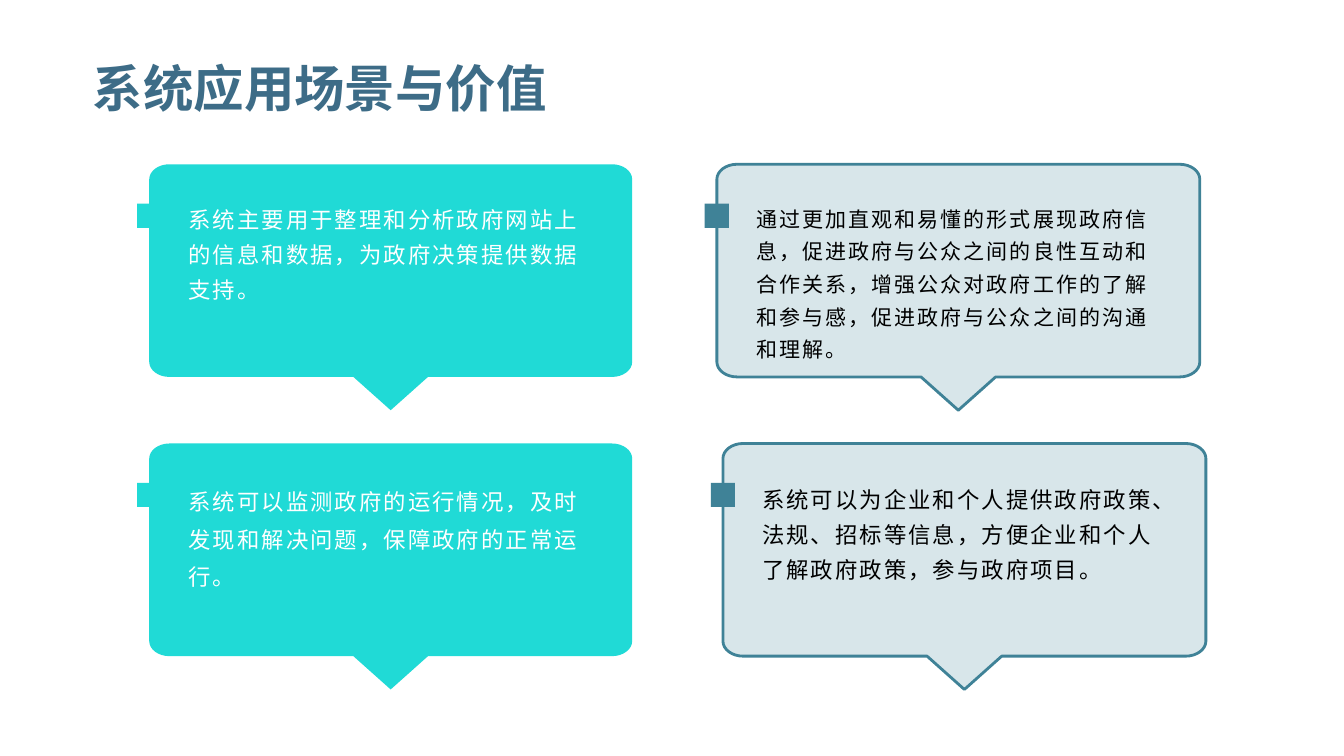
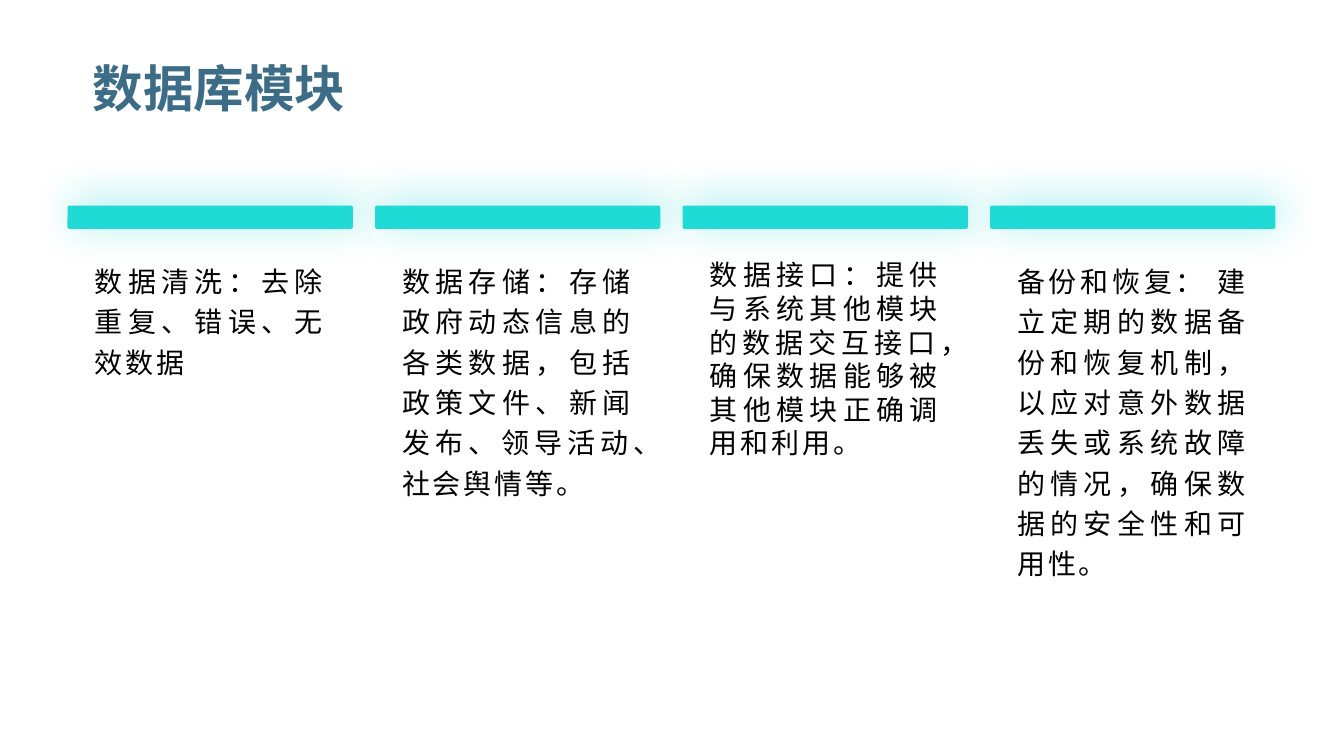
from dataclasses import dataclass

from lxml.etree import SubElement
from pptx import Presentation
from pptx.dml.color import RGBColor
from pptx.enum.shapes import MSO_SHAPE
from pptx.enum.text import MSO_ANCHOR, MSO_AUTO_SIZE, PP_ALIGN
from pptx.oxml.ns import qn
from pptx.util import Inches, Pt


@dataclass(frozen=True)
class Theme:
    title: str = "3D6C87"
    accent: str = "20DAD6"
    steel: str = "3F8297"
    white: str = "FFFFFF"
    black: str = "000000"
    latin_font: str = "Arial"
    chinese_font: str = "Noto Sans CJK SC"
    title_size: int = 36
    column_size: int = 20
    callout_size: int = 16
    dense_size: int = 15


THEME = Theme()

CALLOUT_WIDTH, CALLOUT_HEIGHT = 4.79, 2.11
CORNER_X, CORNER_Y = 0.2, 0.15
CORNER_ROUNDNESS = 0.55
TAIL_HALF_WIDTH, TAIL_HEIGHT = 0.37, 0.33
MARKER_SIZE = 0.24

COLUMN_LEFT, COLUMN_TOP, COLUMN_STEP = 0.67, 2.04, 3.05
CARD_WIDTH, CARD_HEIGHT, BAR_HEIGHT = 2.84, 4.38, 0.23

CALLOUTS = [
    (1.48, 1.63, False, THEME.callout_size, 1.3,
     "系统主要用于整理和分析政府网站上的信息和数据，为政府决策提供数据支持。"),
    (7.11, 1.63, True, THEME.dense_size, 1.3,
     "通过更加直观和易懂的形式展现政府信息，促进政府与公众之间的良性互动和合作关系，"
     "增强公众对政府工作的了解和参与感，促进政府与公众之间的沟通和理解。"),
    (1.48, 4.4, False, THEME.callout_size, 1.4,
     "系统可以监测政府的运行情况，及时发现和解决问题，保障政府的正常运行。"),
    (7.17, 4.4, True, THEME.callout_size, 1.3,
     "系统可以为企业和个人提供政府政策、法规、招标等信息，方便企业和个人了解政府政策，参与政府项目。"),
]

COLUMNS = [
    ("数据清洗：去除重复、错误、无效数据", 1.2),
    ("数据存储：存储政府动态信息的各类数据，包括政策文件、新闻发布、领导活动、社会舆情等。", 1.2),
    ("数据接口：提供与系统其他模块的数据交互接口，确保数据能够被其他模块正确调用和利用。", 1.0),
    ("备份和恢复： 建立定期的数据备份和恢复机制，以应对意外数据丢失或系统故障的情况，"
     "确保数据的安全性和可用性。", 1.2),
]


def place(shape, left, top, width, height):
    shape.left, shape.top = Inches(left), Inches(top)
    shape.width, shape.height = Inches(width), Inches(height)


def write_text(shape, text, *, size, color, font=THEME.latin_font, bold=False,
               align=PP_ALIGN.LEFT, line_spacing=1.0, tracking=0,
               anchor=MSO_ANCHOR.TOP, insets=(0.1, 0.05)):
    frame = shape.text_frame
    frame.word_wrap = True
    frame.auto_size = MSO_AUTO_SIZE.NONE
    frame.vertical_anchor = anchor
    frame.margin_left = frame.margin_right = Inches(insets[0])
    frame.margin_top = frame.margin_bottom = Inches(insets[1])
    para = frame.paragraphs[0]
    para.alignment = align
    para.line_spacing = line_spacing
    span = para.add_run()
    span.text = text
    span.font.size = Pt(size)
    span.font.bold = bold
    span.font.name = font
    span.font.color.rgb = RGBColor.from_string(color)
    properties = span.font._element
    properties.set("lang", "zh-CN")
    properties.set("spc", str(int(tracking * 100)))
    SubElement(properties, qn("a:ea"), typeface=THEME.chinese_font)


def add_text(page, text, left, top, width, height, **text_format):
    box = page.shapes.add_textbox(
        Inches(left), Inches(top), Inches(width), Inches(height))
    write_text(box, text, **text_format)


def paint(shape, fill, opacity=None, outline=None):
    shape.shadow.inherit = False
    shape.fill.solid()
    shape.fill.fore_color.rgb = RGBColor.from_string(fill)
    if opacity is not None:
        color = shape._element.spPr.find(qn("a:solidFill"))[0]
        SubElement(color, qn("a:alpha"), val=str(opacity * 1000))
    if outline:
        shape.line.color.rgb = RGBColor.from_string(outline)
        shape.line.width = Pt(2)
    else:
        shape.line.fill.background()


def add_block(page, left, top, width, height, fill,
              kind=MSO_SHAPE.RECTANGLE, rounding=None):
    block = page.shapes.add_shape(
        kind, Inches(left), Inches(top), Inches(width), Inches(height))
    if rounding is not None:
        block.adjustments[0] = rounding
    paint(block, fill)
    return block


def cast_shadow(shape, color, opacity, blur, distance, direction):
    effects = shape._element.spPr.find(qn("a:effectLst"))
    shadow = SubElement(
        effects, qn("a:outerShdw"), blurRad=str(Pt(blur)),
        dist=str(Pt(distance)), dir=str(direction * 60000),
        algn="ctr", rotWithShape="0")
    tint = SubElement(shadow, qn("a:srgbClr"), val=color)
    SubElement(tint, qn("a:alpha"), val=str(opacity * 1000))


def round_corner(segment, vertical_start):
    start, end = ((int(point.get("x")), int(point.get("y")))
                  for point in (segment.getprevious()[-1], segment[0]))
    vertex = (start[0], end[1]) if vertical_start else (end[0], start[1])
    controls = [[round(a + (b - a) * CORNER_ROUNDNESS)
                 for a, b in zip(point, vertex)] for point in (start, end)]
    segment.tag = qn("a:cubicBezTo")
    segment.remove(segment[0])
    for x, y in (*controls, end):
        SubElement(segment, qn("a:pt"), x=str(x), y=str(y))


def add_bubble(page, left, top):
    right, bottom = left + CALLOUT_WIDTH, top + CALLOUT_HEIGHT
    middle = left + CALLOUT_WIDTH / 2
    near, far = left + CORNER_X, right - CORNER_X
    high, low = top + CORNER_Y, bottom - CORNER_Y
    points = [
        (near, top), (far, top), (right, high), (right, low), (far, bottom),
        (middle + TAIL_HALF_WIDTH, bottom), (middle, bottom + TAIL_HEIGHT),
        (middle - TAIL_HALF_WIDTH, bottom),
        (near, bottom), (left, low), (left, high), (near, top),
    ]
    start, *others = [(Inches(x), Inches(y)) for x, y in points]
    builder = page.shapes.build_freeform(*start)
    builder.add_line_segments(others, close=True)
    bubble = builder.convert_to_shape()
    segments = list(bubble._element.iter(qn("a:lnTo")))
    for index, vertical_start in ((1, False), (3, True), (8, False), (10, True)):
        round_corner(segments[index], vertical_start)
    return bubble


def add_callout(page, left, top, outlined, size, line_spacing, text):
    bubble = add_bubble(page, left, top)
    color = THEME.steel if outlined else THEME.accent
    if outlined:
        paint(bubble, color, opacity=20, outline=color)
    else:
        paint(bubble, color)
    add_block(page, left - MARKER_SIZE / 2, top + 0.39,
              MARKER_SIZE, MARKER_SIZE, color)
    add_text(page, text, left + 0.29, top + 0.29, 4.21, 1.38, size=size,
             color=THEME.black if outlined else THEME.white,
             line_spacing=line_spacing, tracking=1.5)


def add_column(page, left, text, line_spacing):
    card = add_block(page, left, COLUMN_TOP, CARD_WIDTH, CARD_HEIGHT,
                     THEME.white, MSO_SHAPE.ROUNDED_RECTANGLE, 0)
    cast_shadow(card, THEME.white, 40, 22, 9, 106)
    bar = add_block(page, left, COLUMN_TOP, CARD_WIDTH - 0.01, BAR_HEIGHT,
                    THEME.accent, MSO_SHAPE.ROUNDED_RECTANGLE, 0.08)
    cast_shadow(bar, THEME.accent, 45, 30, 5, 315)
    add_text(page, text, left + 0.17, COLUMN_TOP + 0.47, 2.49, 3.73,
             size=THEME.column_size, color=THEME.black,
             font=THEME.chinese_font, align=PP_ALIGN.JUSTIFY,
             line_spacing=line_spacing, tracking=2)


def add_page(deck, layout, title):
    page = deck.slides.add_slide(layout)
    write_text(page.shapes.title, title, size=THEME.title_size,
               color=THEME.title, bold=True, anchor=MSO_ANCHOR.MIDDLE,
               insets=(0, 0))
    return page


def main():
    deck = Presentation()
    deck.slide_width, deck.slide_height = Inches(13.33), Inches(7.5)
    layout = deck.slide_layouts.get_by_name("Title Only")
    place(layout.placeholders[0], 0.92, 0.4, 11.5, 0.94)

    scenarios = add_page(deck, layout, "系统应用场景与价值")
    for callout in CALLOUTS:
        add_callout(scenarios, *callout)

    database = add_page(deck, layout, "数据库模块")
    for index, column in enumerate(COLUMNS):
        add_column(database, COLUMN_LEFT + index * COLUMN_STEP, *column)

    deck.save("out.pptx")


if __name__ == "__main__":
    main()
